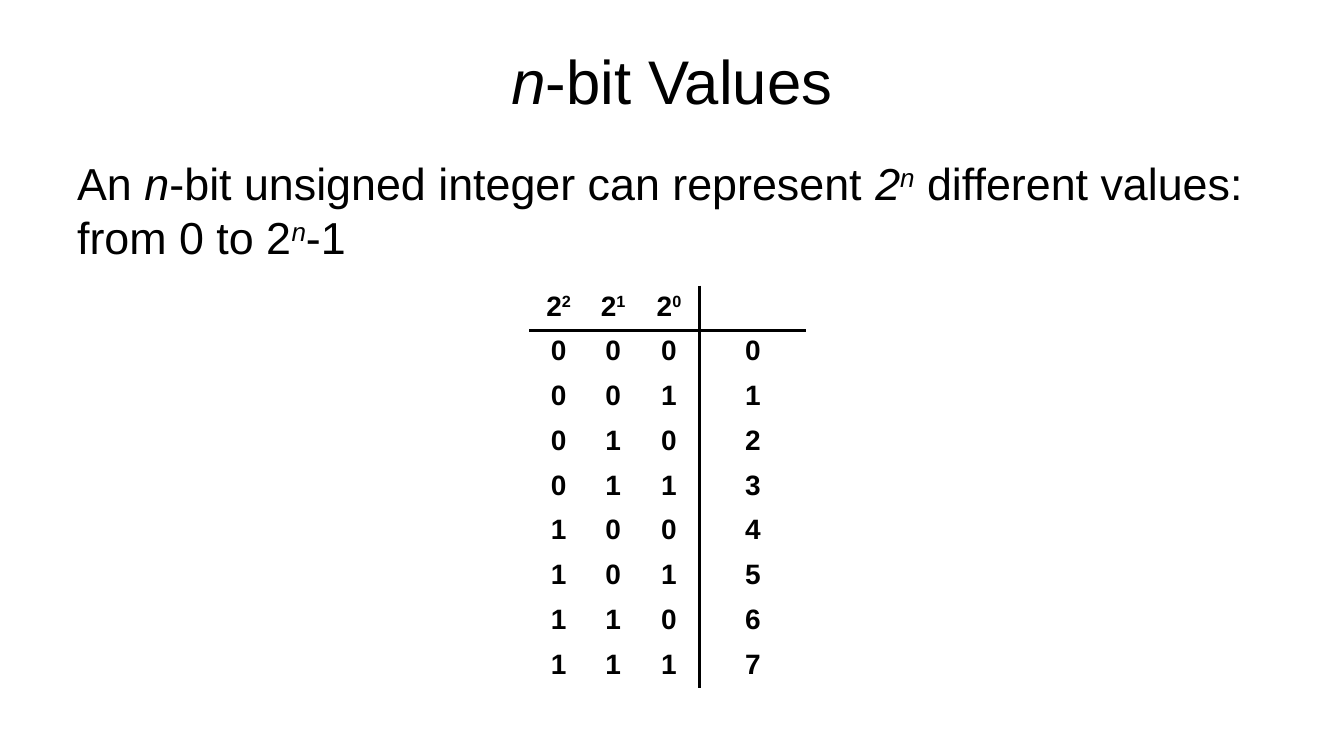
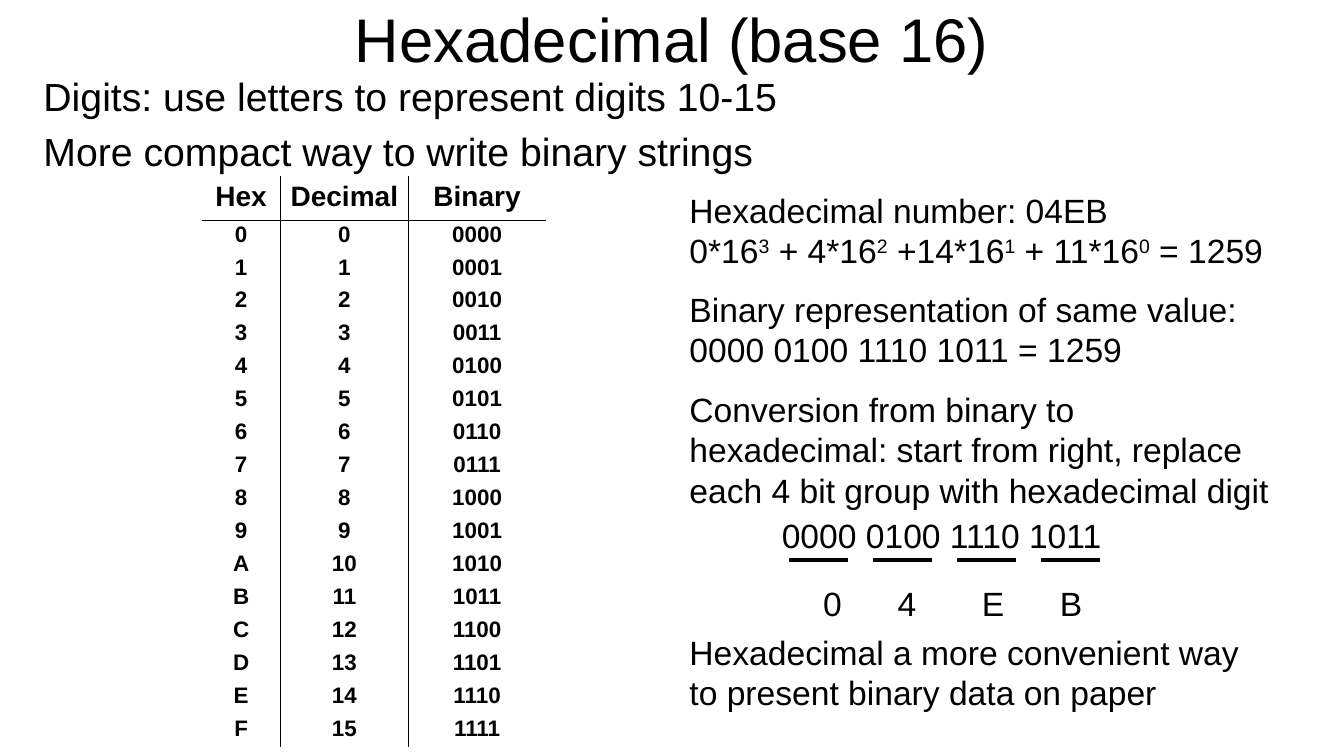
from dataclasses import dataclass
from typing import NamedTuple

from lxml.etree import SubElement
from pptx import Presentation
from pptx.dml.color import RGBColor
from pptx.enum.text import MSO_ANCHOR, PP_ALIGN
from pptx.oxml.ns import qn
from pptx.util import Inches, Pt

COLORS = {"ink": "000000", "paper": "FFFFFF"}
FONT = "Arial"
WIDTH, HEIGHT = Inches(13.33), Inches(7.5)
COLUMNS, ROWS = 160, 90
TITLE_SIZE, NOTE_SIZE, HEADER_SIZE = 44, 24, 20
CELL_MARGIN = 0.5


class Area(NamedTuple):
    """Left, top, width and height in grid columns and rows."""
    left: float
    top: float
    width: float
    height: float


class Piece(NamedTuple):
    text: str
    italic: bool = False
    raised: bool = False


Line = list[Piece]


@dataclass
class TextBlock:
    area: Area
    lines: list[Line]
    size: int = NOTE_SIZE
    gap: float = 0
    align: PP_ALIGN = PP_ALIGN.LEFT
    anchor: MSO_ANCHOR = MSO_ANCHOR.TOP
    tabs: tuple[float, ...] = ()


@dataclass
class Grid:
    """A table with a rule under its header and rules after some columns."""
    left: float
    top: float
    columns: list[float]
    header_height: float
    row_height: float
    cells: list[list[Line]]
    ruled_columns: set[int]
    rule: float
    body_size: int
    spacing: float = 1


def across(columns: float) -> int:
    return round(WIDTH * columns / COLUMNS)


def down(rows: float) -> int:
    return round(HEIGHT * rows / ROWS)


def place(area: Area) -> tuple[int, int, int, int]:
    return across(area.left), down(area.top), across(area.width), down(area.height)


def plain(*texts: str) -> list[Line]:
    return [[Piece(text)] for text in texts]


def power(base: str, exponent: str) -> Line:
    return [Piece(base), Piece(exponent, raised=True)]


def write_line(paragraph, line: Line, size: int, bold: bool = False) -> None:
    for piece in line:
        run = paragraph.add_run()
        run.text = piece.text
        style = {"name": FONT, "size": Pt(size), "bold": bold, "italic": piece.italic}
        for name, value in style.items():
            setattr(run.font, name, value)
        run.font.color.rgb = RGBColor.from_string(COLORS["ink"])
        if piece.raised:
            run._r.get_or_add_rPr().set("baseline", "30000")


def add_tabs(paragraph, tabs: tuple[float, ...]) -> None:
    tab_list = SubElement(paragraph._p.get_or_add_pPr(), qn("a:tabLst"))
    for position in tabs:
        SubElement(tab_list, qn("a:tab"), pos=str(across(position)), algn="l")


def add_text(slide, block: TextBlock) -> None:
    frame = slide.shapes.add_textbox(*place(block.area)).text_frame
    frame.word_wrap = True
    frame.vertical_anchor = block.anchor
    for index, line in enumerate(block.lines):
        paragraph = frame.add_paragraph() if index else frame.paragraphs[0]
        paragraph.alignment = block.align
        if index and block.gap:
            paragraph.space_before = Pt(block.gap)
        if block.tabs:
            add_tabs(paragraph, block.tabs)
        write_line(paragraph, line, block.size)


def add_title(slide, line: Line, top: float, height: float) -> None:
    add_text(slide, TextBlock(Area(29, top, 102, height), [line], TITLE_SIZE,
                              align=PP_ALIGN.CENTER, anchor=MSO_ANCHOR.MIDDLE))


def set_borders(cell, width: float, ruled: dict[str, bool]) -> None:
    properties = cell._tc.get_or_add_tcPr()
    for side, visible in ruled.items():
        border = SubElement(properties, qn(f"a:ln{side}"), w=str(Pt(width)))
        if visible:
            fill = SubElement(border, qn("a:solidFill"))
            SubElement(fill, qn("a:srgbClr"), val=COLORS["ink"])
        else:
            SubElement(border, qn("a:noFill"))


def add_grid(slide, grid: Grid) -> None:
    heights = [grid.header_height] + [grid.row_height] * (len(grid.cells) - 1)
    area = Area(grid.left, grid.top, sum(grid.columns), sum(heights))
    table = slide.shapes.add_table(len(heights), len(grid.columns), *place(area)).table
    table.first_row = table.horz_banding = False
    for column, width in zip(table.columns, grid.columns):
        column.width = across(width)
    for row, height in zip(table.rows, heights):
        row.height = down(height)
    for row_index, lines in enumerate(grid.cells):
        for column_index, line in enumerate(lines):
            cell = table.cell(row_index, column_index)
            cell.margin_left = cell.margin_right = across(CELL_MARGIN)
            set_borders(cell, grid.rule, {
                "L": column_index - 1 in grid.ruled_columns,
                "R": column_index in grid.ruled_columns,
                "T": row_index == 1,
                "B": row_index == 0,
            })
            cell.fill.background()
            paragraph = cell.text_frame.paragraphs[0]
            paragraph.alignment = PP_ALIGN.CENTER
            if row_index:
                paragraph.line_spacing = grid.spacing
            write_line(paragraph, line, grid.body_size if row_index else HEADER_SIZE, bold=True)


def add_underline(slide, left: float, top: float, width: float) -> None:
    start, end, level = across(left), across(left + width), down(top)
    connector = slide.shapes.add_connector(1, start, level, end, level)
    connector.line.color.rgb = RGBColor.from_string(COLORS["ink"])
    connector.line.width = Pt(3)
    SubElement(connector._element.spPr, qn("a:effectLst"))


def new_slide(presentation):
    slide = presentation.slides.add_slide(presentation.slide_layouts[6])
    slide.background.fill.solid()
    slide.background.fill.fore_color.rgb = RGBColor.from_string(COLORS["paper"])
    return slide


def build_values_slide(presentation) -> None:
    slide = new_slide(presentation)
    add_title(slide, [Piece("n", italic=True), Piece("-bit Values")], 2, 15)
    add_text(slide, TextBlock(Area(8, 18, 144, 54), [[
        Piece("An "), Piece("n", italic=True),
        Piece("-bit unsigned integer can represent "),
        Piece("2", italic=True), Piece("n", italic=True, raised=True),
        Piece(" different values: from 0 to 2"),
        Piece("n", italic=True, raised=True), Piece("-1"),
    ]], 32))
    header = [power("2", exponent) for exponent in "210"] + [[]]
    body = [plain(*f"{value:03b}", str(value)) for value in range(8)]
    add_grid(slide, Grid(63, 34, [7, 6, 7.3, 12.7], 48 / 9, 48 / 9, [header, *body],
                         ruled_columns={2}, rule=2.25, body_size=HEADER_SIZE))


def build_hexadecimal_slide(presentation) -> None:
    slide = new_slide(presentation)
    add_title(slide, [Piece("Hexadecimal (base 16)")], -1, 11)
    add_text(slide, TextBlock(Area(4, 8, 113, 13), plain(
        "Digits: use letters to represent digits 10-15",
        "More compact way to write binary strings"), 28, gap=6))

    body = [plain(f"{value:X}", str(value), f"{value:04b}") for value in range(16)]
    add_grid(slide, Grid(24, 21, [9.4, 15.2, 16.4], 5.2, 3.92,
                         [plain("Hex", "Decimal", "Binary"), *body],
                         ruled_columns={0, 1}, rule=1, body_size=16, spacing=0.85))

    expansion = [*power("0*16", "3"), *power(" + 4*16", "2"), *power(" +14*16", "1"),
                 *power(" + 11*16", "0"), Piece(" = 1259")]
    note_left, note_width = 80.9, 72
    notes = [
        (22, 10.9, [*plain("Hexadecimal number: 04EB"), expansion]),
        (33.75, 10.9, plain("Binary representation of same value:",
                            "0000 0100 1110 1011 = 1259")),
        (45.7, 15.7, plain("Conversion from binary to hexadecimal: start from right, "
                           "replace each 4 bit group with hexadecimal digit")),
        (74.6, 10.9, plain("Hexadecimal a more convenient way to present binary data "
                           "on paper")),
    ]
    for top, height, lines in notes:
        add_text(slide, TextBlock(Area(note_left, top, note_width, height), lines))

    add_text(slide, TextBlock(Area(91.9, 60.7, 42, 6), plain("0000 0100 1110 1011")))
    add_text(slide, TextBlock(Area(96.8, 68.8, 33.6, 6), plain("0\t4\tE\tB"),
                              tabs=(8.9, 18.9, 28.2)))
    for group in range(4):
        add_underline(slide, 93.9 + 10 * group, 66.7, 7)


def main() -> None:
    presentation = Presentation()
    presentation.slide_width, presentation.slide_height = WIDTH, HEIGHT
    build_values_slide(presentation)
    build_hexadecimal_slide(presentation)
    presentation.save("out.pptx")


if __name__ == "__main__":
    main()
